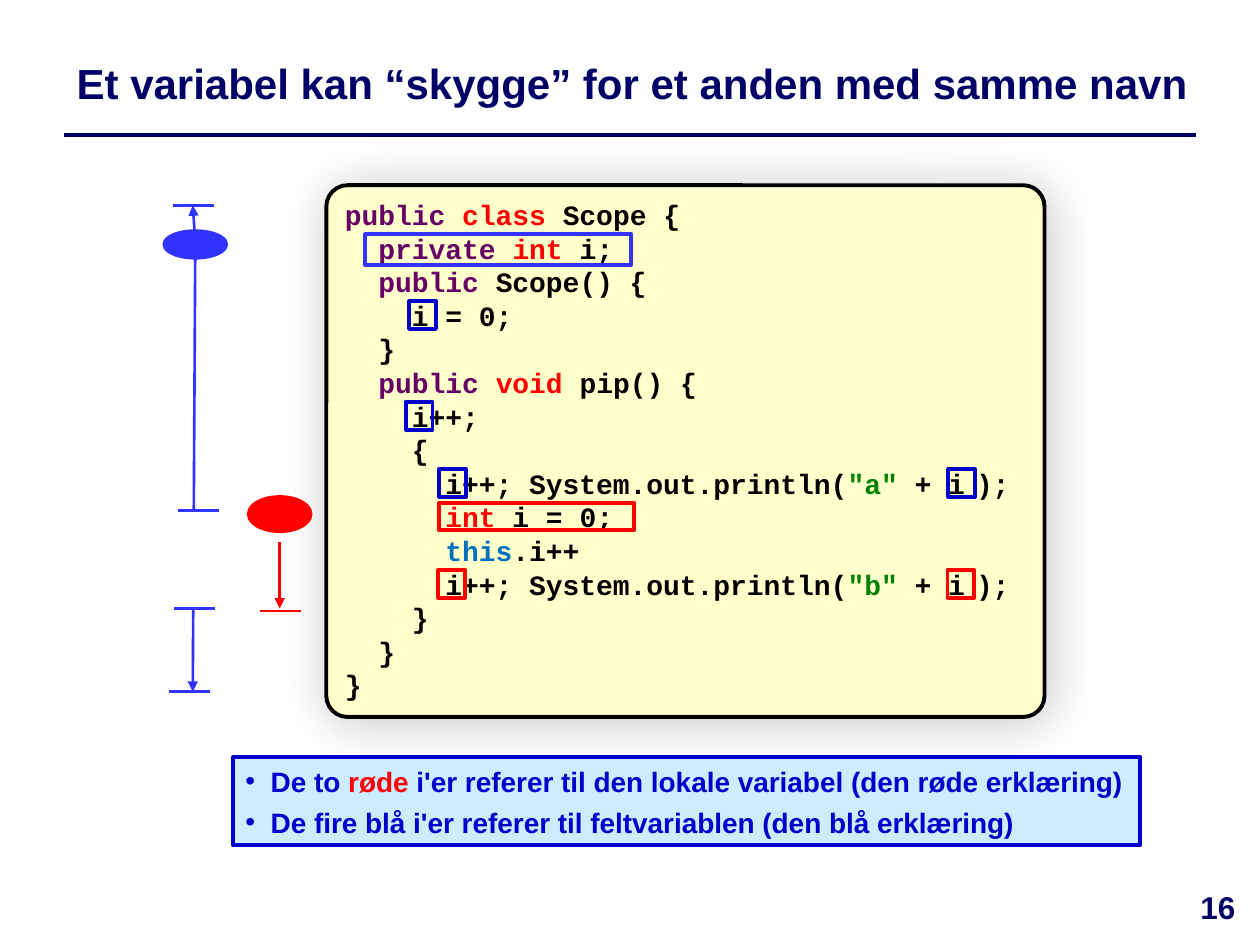
from lxml import etree
from pptx import Presentation, util as u
from pptx.dml.color import RGBColor
from pptx.enum import shapes, text
from pptx.oxml.ns import qn

COLORS = {
    "navy": "000066", "black": "000000", "white": "FFFFFF", "cream": "FFFFCC",
    "red": "FF0000", "blue": "3333FF", "deep blue": "0000CC", "pale blue": "CCECFF",
    "purple": "660066", "green": "008000", "sky": "0070C0", "gray": "808080",
}
# The slide is a grid of 100 columns by 75 rows.
COLUMNS, ROWS = 100, 75
CELL = u.Inches(0.1)

# Pieces between bars are coloured by the word they hold; a lone space is narrow.
CODE = """public |class |Scope {
  |private |int |i;
  |public |Scope() {
    i = 0;
  }
  |public |void |pip() {
    i++;
    {
      i++; System.out.println(|"a"| + i| |);
      |int| i = 0;
      |this|.i++
      i++; System.out.println(|"b" |+ i| |);
    }
  }
}"""
CODE_COLORS = {
    "public": "purple", "private": "purple", "class": "red", "int": "red",
    "void": "red", "this": "sky", '"a"': "green", '"b"': "green",
}
CODE_LEFT, CODE_TOP = 27.4, 15.9
CHAR_WIDTH, LINE_HEIGHT = 4 / 3, 8 / 3

# Code line, first character, number of characters, colour
MARKS = [
    (1, 1.2, 15.8, "blue"),
    (3, 3.8, 1.6, "deep blue"),
    (6, 3.6, 1.6, "deep blue"),
    (8, 5.6, 1.6, "deep blue"),
    (8, 35.9, 1.6, "deep blue"),
    (9, 5.6, 11.6, "red"),
    (11, 5.55, 1.6, "red"),
    (11, 35.85, 1.6, "red"),
]
NOTES = [
    [("De to ", "deep blue"), ("røde", "red"),
     (" i'er referer til den lokale variabel (den røde erklæring)", "deep blue")],
    [("De fire blå i'er referer til feltvariablen (den blå erklæring)", "deep blue")],
]


def grid(*cells):
    return [round(cell * CELL) for cell in cells]


def rgb(name):
    return RGBColor.from_string(COLORS[name])


def add_box(slide, preset, place, fill=None, line=None, width=2.25):
    box = slide.shapes.add_shape(preset, *grid(*place))
    box.shadow.inherit = False
    if fill:
        box.fill.solid()
        box.fill.fore_color.rgb = rgb(fill)
    else:
        box.fill.background()
    if line:
        box.line.color.rgb = rgb(line)
        box.line.width = u.Pt(width)
    else:
        box.line.fill.background()
    return box


def add_line(slide, start, end, color, width=1.5, arrow=False):
    line = slide.shapes.add_connector(
        shapes.MSO_CONNECTOR.STRAIGHT, *grid(*start, *end))
    line.line.color.rgb = rgb(color)
    line.line.width = u.Pt(width)
    if arrow:
        etree.SubElement(line.line._get_or_add_ln(), qn("a:tailEnd"), type="triangle")
    etree.SubElement(line._element.spPr, qn("a:effectLst"))


def add_run(paragraph, words, color, size, font="Arial"):
    run = paragraph.add_run()
    run.text = words
    run.font.name = font
    run.font.size = u.Pt(size)
    run.font.bold = True
    run.font.color.rgb = rgb(color)


def add_label(slide, place, words, size, align, anchor):
    frame = slide.shapes.add_textbox(*grid(*place)).text_frame
    frame.word_wrap = True
    frame.vertical_anchor = anchor
    frame.paragraphs[0].alignment = align
    add_run(frame.paragraphs[0], words, "navy", size)


def paragraphs(frame, count):
    """Yield left-aligned paragraphs, the first one already being in the frame."""
    for number in range(count):
        paragraph = frame.add_paragraph() if number else frame.paragraphs[0]
        paragraph.alignment = text.PP_ALIGN.LEFT
        yield paragraph


def add_soft_shadow(shape):
    effects = shape._element.spPr.find(qn("a:effectLst"))
    shadow = etree.SubElement(
        effects, qn("a:outerShdw"), blurRad=str(u.Pt(30)), dist=str(u.Pt(3)),
        dir=str(45 * 60000), algn="tl", rotWithShape="0")
    color = etree.SubElement(shadow, qn("a:srgbClr"), val=COLORS["gray"])
    etree.SubElement(color, qn("a:alpha"), val="43000")


def add_code(slide):
    panel = add_box(slide, shapes.MSO_SHAPE.ROUNDED_RECTANGLE,
                    (25.9, 14.7, 57, 42.2), "cream", "black")
    panel.adjustments[0] = 0.04
    add_soft_shadow(panel)
    frame = panel.text_frame
    frame.vertical_anchor = text.MSO_ANCHOR.TOP
    lines = CODE.splitlines()
    for paragraph, line in zip(paragraphs(frame, len(lines)), lines):
        paragraph.line_spacing = u.Pt(19.2)
        for piece in line.split("|"):
            color = CODE_COLORS.get(piece.strip(), "black")
            add_run(paragraph, piece, color, 10.5 if piece == " " else 16, "Courier New")


def add_mark(slide, line, first, length, color):
    place = (CODE_LEFT + first * CHAR_WIDTH, CODE_TOP + line * LINE_HEIGHT,
             length * CHAR_WIDTH, 2.5 if color == "blue" else 2.2)
    add_box(slide, shapes.MSO_SHAPE.RECTANGLE, place, line=color)


def add_scope_end(slide, left, row, color):
    add_line(slide, (left, row), (left + 3.3, row), color)


def add_scopes(slide):
    """Draw the field's scope, cut by a gap where the local variable shadows it."""
    oval = shapes.MSO_SHAPE.OVAL
    field = (15.5, 19.2)
    add_box(slide, oval, (13, 18.3, 5, 2.2), "blue", "blue", 1.5)
    for row in (54.9, 16.3):
        add_line(slide, field, (15.3, row), "blue", arrow=True)
    add_box(slide, oval, (19.7, 39.4, 5, 2.8), "red", "red", 1.5)
    add_line(slide, (22.2, 43), (22.2, 48.3), "red", arrow=True)
    add_box(slide, shapes.MSO_SHAPE.RECTANGLE, (13, 40.5, 5, 7.8), "white")
    for left, row, color in [(13.7, 16.3, "blue"), (14.1, 40.5, "blue"),
                             (13.8, 48.3, "blue"), (13.4, 54.9, "blue"),
                             (20.6, 48.5, "red")]:
        add_scope_end(slide, left, row, color)


def add_notes(slide):
    panel = add_box(slide, shapes.MSO_SHAPE.RECTANGLE,
                    (18.5, 60.1, 72, 7), "pale blue", "deep blue")
    frame = panel.text_frame
    indent = u.Inches(0.2)
    for number, paragraph in enumerate(paragraphs(frame, len(NOTES))):
        paragraph.line_spacing = u.Pt(19.4)
        paragraph.space_before = u.Pt(4 if number else 0)
        properties = paragraph._p.get_or_add_pPr()
        properties.set("marL", str(indent))
        properties.set("indent", str(-indent))
        etree.SubElement(properties, qn("a:buFont"), typeface="Arial")
        etree.SubElement(properties, qn("a:buChar"), char="•")
        for words, color in NOTES[number]:
            add_run(paragraph, words, color, 16)


def main():
    deck = Presentation()
    deck.slide_width, deck.slide_height = grid(COLUMNS, ROWS)
    slide = deck.slides.add_slide(deck.slide_layouts[6])
    add_line(slide, (5.1, 10.7), (94.9, 10.7), "navy", 2)
    add_label(slide, (5.1, 2.8, 92.9, 7.5),
              "Et variabel kan “skygge” for et anden med samme navn", 24,
              text.PP_ALIGN.LEFT, text.MSO_ANCHOR.MIDDLE)
    add_code(slide)
    add_scopes(slide)
    for mark in MARKS:
        add_mark(slide, *mark)
    add_notes(slide)
    add_label(slide, (93.1, 70, 7.1, 5), "16", 18,
              text.PP_ALIGN.CENTER, text.MSO_ANCHOR.TOP)
    deck.save("out.pptx")


if __name__ == "__main__":
    main()
